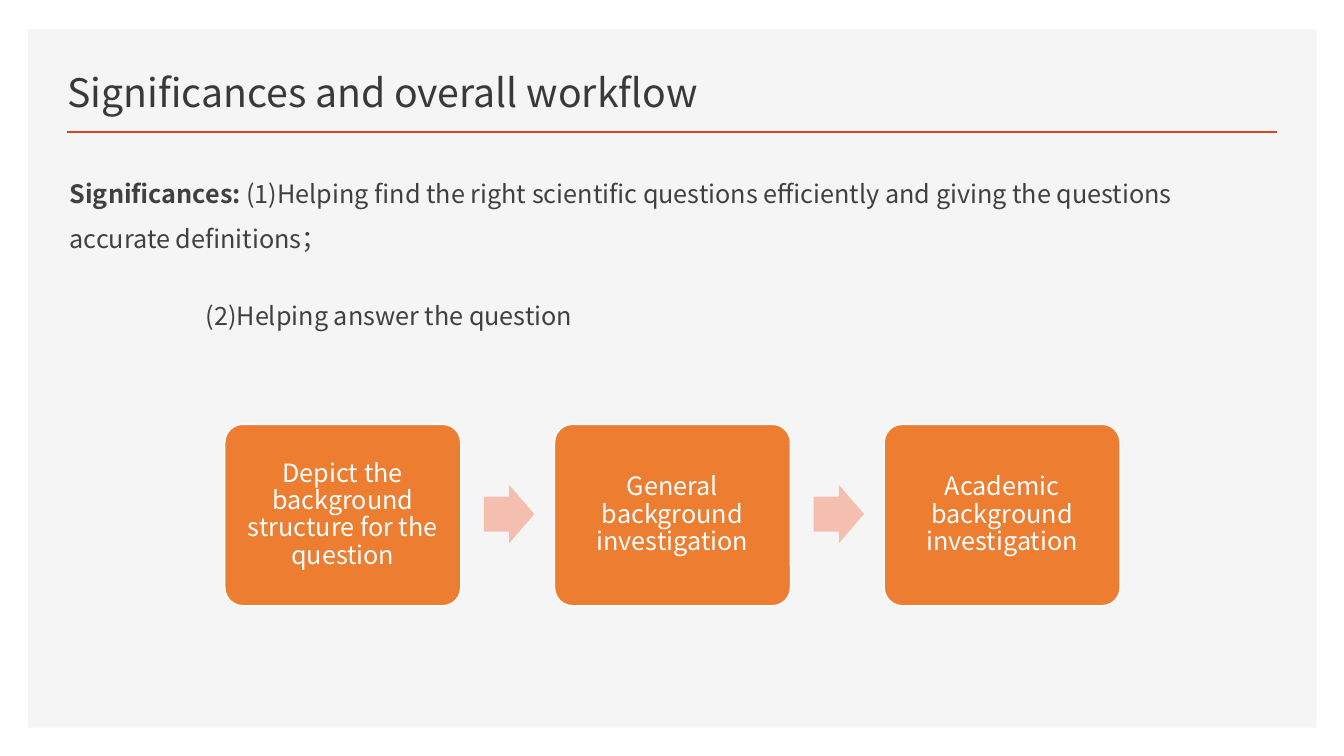
from lxml import etree
from pptx import Presentation
from pptx.dml.color import RGBColor
from pptx.enum import shapes, text
from pptx.oxml.ns import qn
from pptx.util import Inches, Pt

FONT = "Noto Sans CJK SC"
COLORS = {
    "panel": "F5F5F5", "rule": "D24726", "title": "3B3838", "body": "404040",
    "step": "ED7D31", "arrow": "F4BFAE", "white": "FFFFFF",
}


def style_font(font, size, color):
    font.name = FONT
    font.size = Pt(size)
    font.color.rgb = RGBColor.from_string(COLORS[color])


def add_filled_shape(kind, left, top, width, height, color):
    shape = page.shapes.add_shape(
        kind, Inches(left), Inches(top), Inches(width), Inches(height))
    shape.shadow.inherit = False
    shape.fill.solid()
    shape.fill.fore_color.rgb = RGBColor.from_string(COLORS[color])
    shape.line.fill.background()
    return shape


deck = Presentation()
deck.slide_width, deck.slide_height = Inches(13.33), Inches(7.5)
page = deck.slides.add_slide(deck.slide_layouts[1])

# Background panel, sent behind the placeholders, and the title rule
panel = add_filled_shape(shapes.MSO_SHAPE.RECTANGLE, 0.28, 0.29, 12.78, 6.93, "panel")
page.shapes.element.insert(2, panel.element)

rule = page.shapes.add_connector(
    shapes.MSO_CONNECTOR.STRAIGHT, Inches(0.66), Inches(1.31), Inches(12.67), Inches(1.31))
rule.line.color.rgb = RGBColor.from_string(COLORS["rule"])
rule.line.width = Pt(2)
etree.SubElement(rule.element.spPr, qn("a:effectLst"))

# Title
title = page.shapes.title
title.left, title.top = Inches(0.57), Inches(0.49)
title.width, title.height = Inches(7.52), Inches(0.7)
title.text_frame.text = "Significances and overall workflow"
title.text_frame.auto_size = text.MSO_AUTO_SIZE.NONE
title.text_frame.vertical_anchor = text.MSO_ANCHOR.BOTTOM
title.text_frame.paragraphs[0].alignment = text.PP_ALIGN.LEFT
style_font(title.text_frame.paragraphs[0].font, 28, "title")

# Significances
body = page.placeholders[1]
body.left, body.top = Inches(0.59), Inches(1.57)
body.width, body.height = Inches(12.01), Inches(5.53)
frame = body.text_frame
frame.auto_size = text.MSO_AUTO_SIZE.NONE
first, second = frame.paragraphs[0], frame.add_paragraph()
label = first.add_run()
label.text = "Significances: "
label.font.bold = True
first.add_run().text = (
    "(1)Helping find the right scientific questions efficiently "
    "and giving the questions accurate definitions；")
second.text = "(2)Helping answer the question"
for para, indent in ((first, 0), (second, 1.35)):
    para.line_spacing = 1.5
    para.space_before, para.space_after = Pt(10), Pt(12)
    style_font(para.font, 18, "body")
    for span in para.runs:
        style_font(span.font, 18, "body")
    properties = para._p.get_or_add_pPr()
    properties.set("marL", str(Inches(indent)))
    properties.set("indent", "0")
    properties.insert_element_before(
        etree.Element(qn("a:buNone")), "a:tabLst", "a:defRPr", "a:extLst")

# Workflow steps, joined by arrows
STEPS = [
    "Depict the background structure for the question",
    "General background investigation",
    "Academic background investigation",
]
STEP_LEFT, STEP_PITCH = 2.23, 3.27
for index, wording in enumerate(STEPS):
    left = STEP_LEFT + index * STEP_PITCH
    box = add_filled_shape(
        shapes.MSO_SHAPE.ROUNDED_RECTANGLE, left, 4.21, 2.34, 1.8, "step")
    box.adjustments[0] = 0.1
    box.line.color.rgb = RGBColor.from_string(COLORS["white"])
    box.line.width = Pt(1)
    frame = box.text_frame
    frame.word_wrap = True
    frame.vertical_anchor = text.MSO_ANCHOR.MIDDLE
    frame.margin_left = frame.margin_right = Inches(0.07)
    frame.margin_top = frame.margin_bottom = Inches(0.07)
    para = frame.paragraphs[0]
    para.text = wording
    para.alignment = text.PP_ALIGN.CENTER
    para.line_spacing = 0.9
    style_font(para.font, 18, "white")
    if index < len(STEPS) - 1:
        arrow = add_filled_shape(
            shapes.MSO_SHAPE.RIGHT_ARROW, left + 2.57, 4.81, 0.5, 0.58, "arrow")
        arrow.adjustments[0] = 0.6
        arrow.adjustments[1] = 0.5

deck.save("out.pptx")
